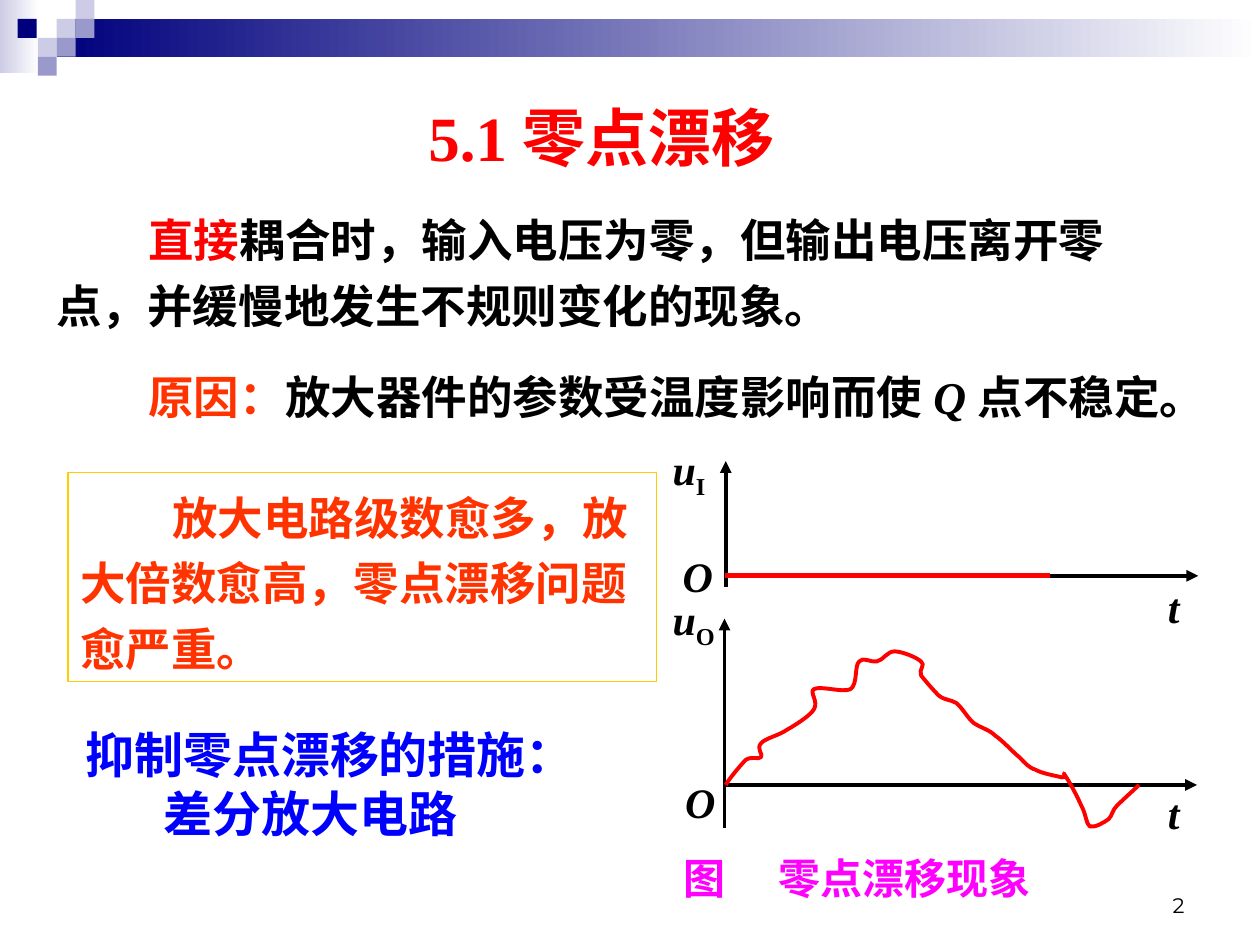
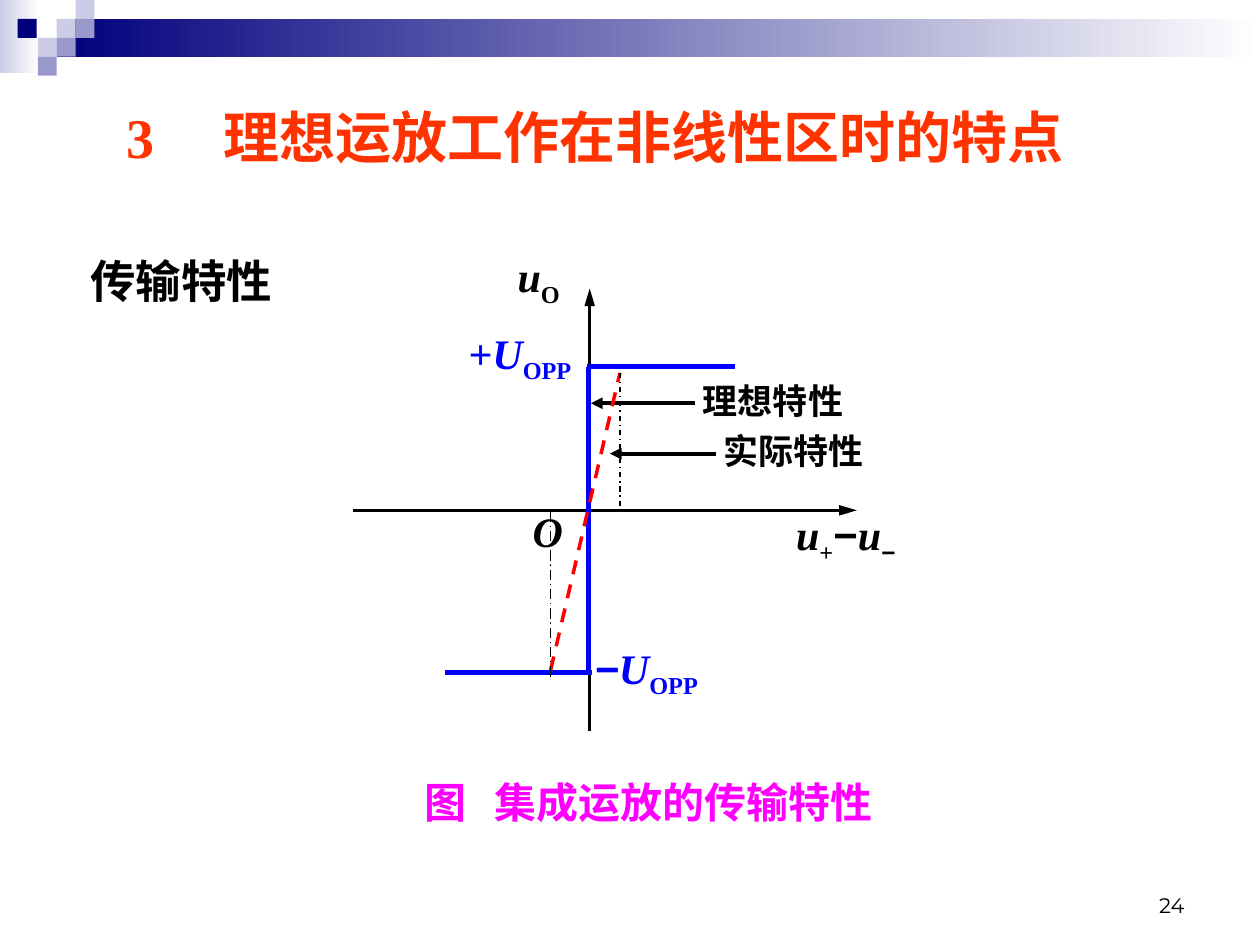
from pptx import Presentation
from pptx.util import Inches, Pt
from pptx.dml.color import RGBColor
from pptx.enum.dml import MSO_LINE
from pptx.enum.shapes import MSO_CONNECTOR, MSO_SHAPE
from pptx.enum.text import MSO_ANCHOR, MSO_AUTO_SIZE, PP_ALIGN
from pptx.oxml.ns import qn
from lxml.etree import SubElement

BLACK = RGBColor(0, 0, 0)
WHITE = RGBColor(255, 255, 255)
RED = RGBColor(255, 0, 0)
FLAME = RGBColor(0xFF, 0x33, 0)
BLUE = RGBColor(0, 0, 255)
PINK = RGBColor(255, 0, 255)
GOLD = RGBColor(0xFF, 0xCC, 0)
NAVY = RGBColor(0, 0, 0x7D)
LILAC = RGBColor(0x99, 0x99, 0xCC)
PALE = RGBColor(0xCC, 0xCC, 0xE6)

SERIF = "Times New Roman"
BASE = {"size": Pt(24), "name": SERIF, "bold": True, "italic": False}
BODY = {"size": Pt(26)}
NOTE = {"size": Pt(20)}
SLANT = {"italic": True}
SUB = {"base": "-25000"}
SANS = {"name": "Arial"}
PAGE = {"size": Pt(12), "name": "Montserrat", "bold": False}


def write(shape, box, runs, lead=0, tab=0, **look):
    shape.left, shape.top, shape.width, shape.height = map(Inches, box)
    frame = shape.text_frame
    frame.word_wrap = True
    frame.auto_size = MSO_AUTO_SIZE.NONE
    frame.vertical_anchor = look.pop("anchor", MSO_ANCHOR.TOP)
    para = frame.paragraphs[0]
    if frame.text:
        para = frame.add_paragraph()
    props = para._p.get_or_add_pPr()
    props.set("hangingPunct", "0")
    if lead:
        props.set("indent", str(Inches(lead)))
    if tab:
        stops = SubElement(props, qn("a:tabLst"))
        SubElement(stops, qn("a:tab"), pos=str(Inches(tab)), algn="l")
    for key, value in ({"alignment": PP_ALIGN.LEFT} | look).items():
        setattr(para, key, value)
    for text, color, form in runs:
        run = para.add_run()
        run.text = text
        form = BASE | form
        base = form.pop("base", None)
        for key, value in form.items():
            setattr(run.font, key, value)
        run.font.color.rgb = color
        if base:
            run._r.get_or_add_rPr().set("baseline", base)


def rule(slide, ends, color, width, arrow=None, dash=None):
    line = slide.shapes.add_connector(MSO_CONNECTOR.STRAIGHT, *map(Inches, ends))
    line.line.color.rgb = color
    line.line.width = Pt(width)
    if dash:
        line.line.dash_style = dash
    if arrow:
        SubElement(line.line._get_or_add_ln(), qn("a:tailEnd"), type="triangle", len=arrow)
    SubElement(line._element.spPr, qn("a:effectLst"))


deck = Presentation()
deck.slide_width, deck.slide_height = Inches(10), Inches(7.5)

bands = [
    (0, 0, 0.31, 0.58, PALE, WHITE),
    (0.45, 0.15, 9.55, 0.3, NAVY, WHITE),
]
tiles = [
    (0.45, 0.15, PALE), (0.6, 0, PALE), (0.6, 0.15, LILAC), (0.3, 0.3, PALE),
    (0.14, 0.15, NAVY), (0.45, 0.3, LILAC), (0.3, 0.45, LILAC),
]
bands += [(x, y, 0.15, 0.15, hue, None) for x, y, hue in tiles]
heads = [
    ("2", (3.3, 0.61, 3.6, 0.82), [("5.1 零点漂移", RED, {"size": Pt(36)})],
     {"line_spacing": 1.2}),
    ("24", (0.9, 0.76, 8.5, 0.64),
     [("3\t理想运放工作在非线性区时的特点", FLAME, {"size": Pt(32)})], {"tab": 0.77}),
]
slides = []
for page, box, runs, look in heads:
    slide = deck.slides.add_slide(deck.slide_layouts[5])
    for x, y, wide, high, hue, fade in bands:
        block = slide.shapes.add_shape(MSO_SHAPE.RECTANGLE, *map(Inches, (x, y, wide, high)))
        block.shadow.inherit = False
        block.line.fill.background()
        if fade:
            block.fill.gradient()
            block.fill.gradient_angle = 0
            for stop, tone in zip(block.fill.gradient_stops, (hue, fade)):
                stop.color.rgb = tone
        else:
            block.fill.solid()
            block.fill.fore_color.rgb = hue
    write(slide.shapes.title, box, runs, **look)
    foot = slide.shapes.add_textbox(0, 0, 0, 0)
    write(foot, (7.17, 6.83, 2.33, 0.5), [(page, BLACK, PAGE)],
          alignment=PP_ALIGN.RIGHT, anchor=MSO_ANCHOR.BOTTOM)
    slides.append(slide)
drift, ideal = slides

texts = [
    (drift, (0.35, 1.55, 9.17, 1.14),
     [("直接", RED, BODY),
      ("耦合时，输入电压为零，但输出电压离开零点，并缓慢地发生不规则变化的现象。", BLACK, BODY)],
     {"lead": 0.73, "line_spacing": 1.2}),
    (drift, (0.35, 2.88, 9.33, 0.54),
     [("原因：", FLAME, BODY), ("放大器件的参数受温度影响而使 ", BLACK, BODY),
      ("Q ", BLACK, BODY | SLANT), ("点不稳定。", BLACK, BODY)], {"lead": 0.73}),
    (drift, (5.33, 6.72, 4, 0.5), [("图\t零点漂移现象", PINK, {})], {"tab": 0.75}),
    (ideal, (0.62, 1.96, 2.17, 0.54), [("传输特性", BLACK, BODY)], {}),
    (ideal, (3.62, 2.55, 1.17, 0.56), [("+U", BLUE, SLANT), ("OPP", BLUE, SUB)], {}),
    (ideal, (4.62, 5.05, 1.17, 0.56),
     [("−", BLUE, SANS | SLANT), ("U", BLUE, SLANT), ("OPP", BLUE, SUB)], {}),
    (ideal, (4.01, 1.94, 0.83, 0.56), [("u", BLACK, SLANT), ("O", BLACK, SUB)], {}),
    (ideal, (6.22, 3.99, 1.31, 0.56),
     [("u", BLACK, SLANT), ("+", BLACK, SUB), ("−", BLACK, SANS),
      ("u", BLACK, SLANT), ("−", BLACK, SANS | SUB)], {}),
    (ideal, (4.13, 3.96, 0.83, 0.56), [("O", BLACK, SLANT)], {}),
    (ideal, (5.48, 2.96, 1.42, 0.44), [("理想特性", BLACK, NOTE)], {}),
    (ideal, (5.64, 3.36, 1.42, 0.44), [("实际特性", BLACK, NOTE)], {}),
    (ideal, (3.27, 6.11, 3.88, 0.9), [("图\t集成运放的传输特性", PINK, {})], {"tab": 0.56}),
]
plots = [
    ("I", 5.76, 4.57, 3.66, 4.66, (5.24, 3.47), (9.17, 4.57), (5.32, 4.32)),
    ("O", 5.75, 6.23, 4.91, 6.57, (5.24, 4.66), (9.17, 6.2), (5.34, 6.11)),
]
for sub, x, y, top, low, name, time, zero in plots:
    rule(drift, (x, y, x + 3.75, y), BLACK, 2.25, "med")
    rule(drift, (x, low, x, top), BLACK, 2.25, "med")
    marks = [
        (name, [("u", BLACK, SLANT), (sub, BLACK, SUB)]),
        (time, [("t", BLACK, SLANT)]),
        (zero, [("O", BLACK, SLANT)]),
    ]
    texts += [(drift, (*spot, 0.67, 0.56), runs, {}) for spot, runs in marks]
for slide, box, runs, look in texts:
    write(slide.shapes.add_textbox(0, 0, 0, 0), box, runs, **look)

cure = drift.shapes.add_textbox(0, 0, 0, 0)
for text, lead in (("抑制零点漂移的措施：", 0), ("差分放大电路", 0.62)):
    write(cure, (0.58, 5.7, 4.3, 1.04),
          [(text, BLUE, SANS | {"size": Pt(28)})], lead=lead)

frame = drift.shapes.add_shape(MSO_SHAPE.RECTANGLE, 0, 0, 0, 0)
frame.shadow.inherit = False
frame.fill.background()
frame.line.color.rgb = GOLD
frame.line.width = Pt(0.75)
write(frame, (0.54, 3.75, 4.67, 1.66),
      [("放大电路级数愈多，放大倍数愈高，零点漂移问题愈严重。", FLAME, BODY)],
      lead=0.73, line_spacing=1.2)

wave = [
    (5.76, 6.23),
    (5.78, 6.19), (5.88, 6.07), (5.92, 6.03), (5.97, 6), (6.02, 6.03), (6.04, 6.01),
    (6.06, 5.99), (6, 5.94), (6.04, 5.9), (6.07, 5.86), (6.18, 5.84), (6.25, 5.79),
    (6.32, 5.75), (6.43, 5.68), (6.46, 5.63), (6.5, 5.57), (6.42, 5.49), (6.46, 5.47),
    (6.51, 5.44), (6.69, 5.5), (6.75, 5.47), (6.81, 5.43), (6.78, 5.28), (6.82, 5.25),
    (6.85, 5.21), (6.91, 5.26), (6.96, 5.25), (7.01, 5.24), (7.04, 5.17), (7.1, 5.17),
    (7.16, 5.17), (7.28, 5.22), (7.31, 5.25), (7.35, 5.28), (7.29, 5.31), (7.31, 5.36),
    (7.34, 5.4), (7.41, 5.48), (7.45, 5.52), (7.5, 5.56), (7.54, 5.55), (7.59, 5.58),
    (7.64, 5.62), (7.68, 5.7), (7.73, 5.74), (7.79, 5.78), (7.85, 5.79), (7.9, 5.84),
    (7.96, 5.88), (8.04, 5.97), (8.09, 6.01), (8.14, 6.06), (8.16, 6.09), (8.22, 6.11),
    (8.27, 6.14), (8.39, 6.16), (8.43, 6.17), (8.47, 6.18), (8.43, 6.11), (8.45, 6.15),
    (8.48, 6.19), (8.55, 6.32), (8.58, 6.39), (8.62, 6.46), (8.62, 6.54), (8.65, 6.56),
    (8.69, 6.57), (8.76, 6.53), (8.8, 6.5), (8.83, 6.47), (8.82, 6.44), (8.87, 6.39),
    (8.91, 6.35), (9.01, 6.26), (9.04, 6.23),
]
dots = [tuple(map(Inches, dot)) for dot in wave]
build = drift.shapes.build_freeform(*dots[0])
build.add_line_segments(dots[1:], close=False)
curve = build.convert_to_shape()
steps = list(curve._element.iter(qn("a:lnTo")))
track = steps[0].getparent()
for i in range(0, len(steps), 3):
    bend = SubElement(track, qn("a:cubicBezTo"))
    for step in steps[i:i + 3]:
        bend.append(step[0])
        track.remove(step)
curve.shadow.inherit = False
curve.fill.background()
curve.line.color.rgb = RED
curve.line.width = Pt(2.25)
rule(drift, (5.75, 4.57, 8.33, 4.57), RED, 3)

for ends, *look in [
    ((2.8, 4.05, 6.8, 4.05), BLACK, 2, "lg"),
    ((4.68, 5.8, 4.68, 2.29), BLACK, 2, "lg"),
    ((3.53, 5.34, 4.7, 5.34), BLUE, 3),
    ((4.66, 2.91, 5.83, 2.91), BLUE, 3),
    ((4.67, 2.91, 4.67, 5.32), BLUE, 3),
    ((5.52, 3.2, 4.69, 3.2), BLACK, 2.25, "med"),
    ((4.37, 5.32, 4.92, 2.96), RED, 2, None, MSO_LINE.DASH),
    ((5.68, 3.6, 4.84, 3.6), BLACK, 2.25, "med"),
    ((4.92, 2.96, 4.92, 4.06), BLACK, 0.75, None, MSO_LINE.DASH_DOT),
    ((4.37, 4.06, 4.37, 5.4), BLACK, 0.75, None, MSO_LINE.LONG_DASH_DOT),
]:
    rule(ideal, ends, *look)

deck.save("out.pptx")
